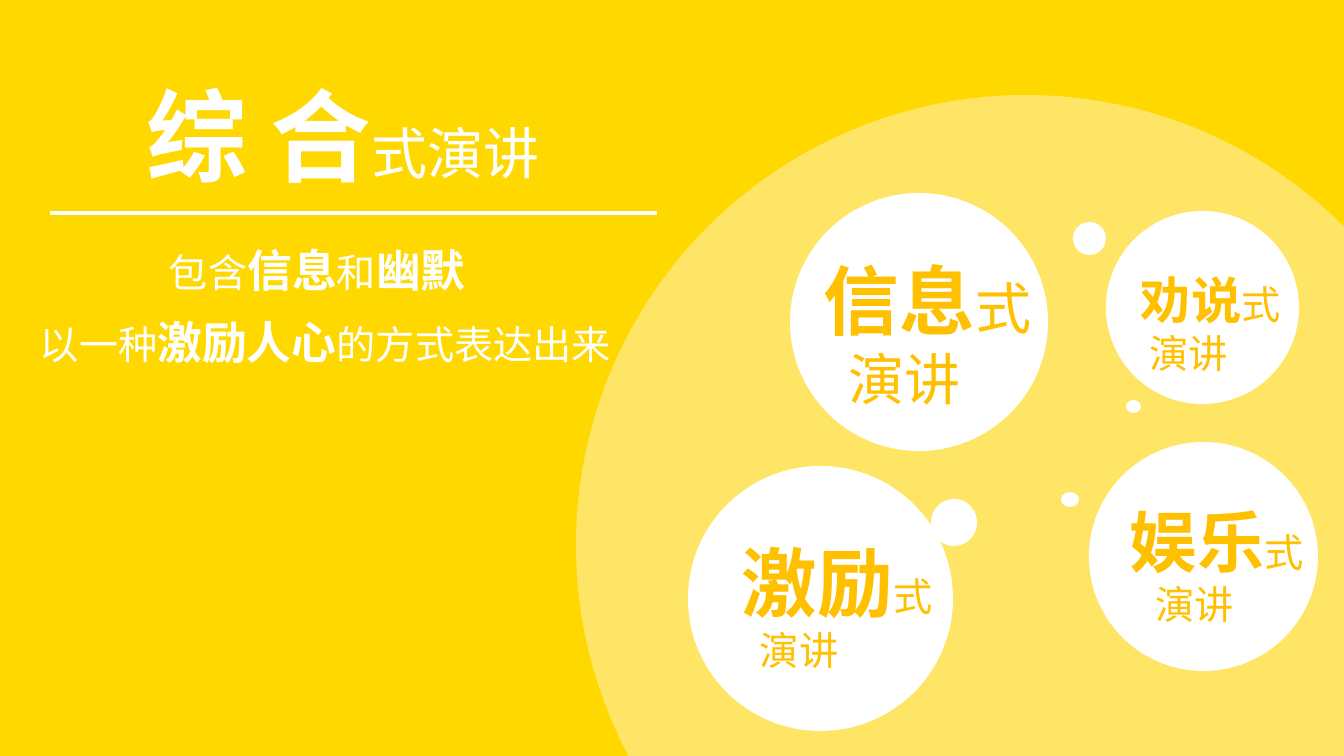
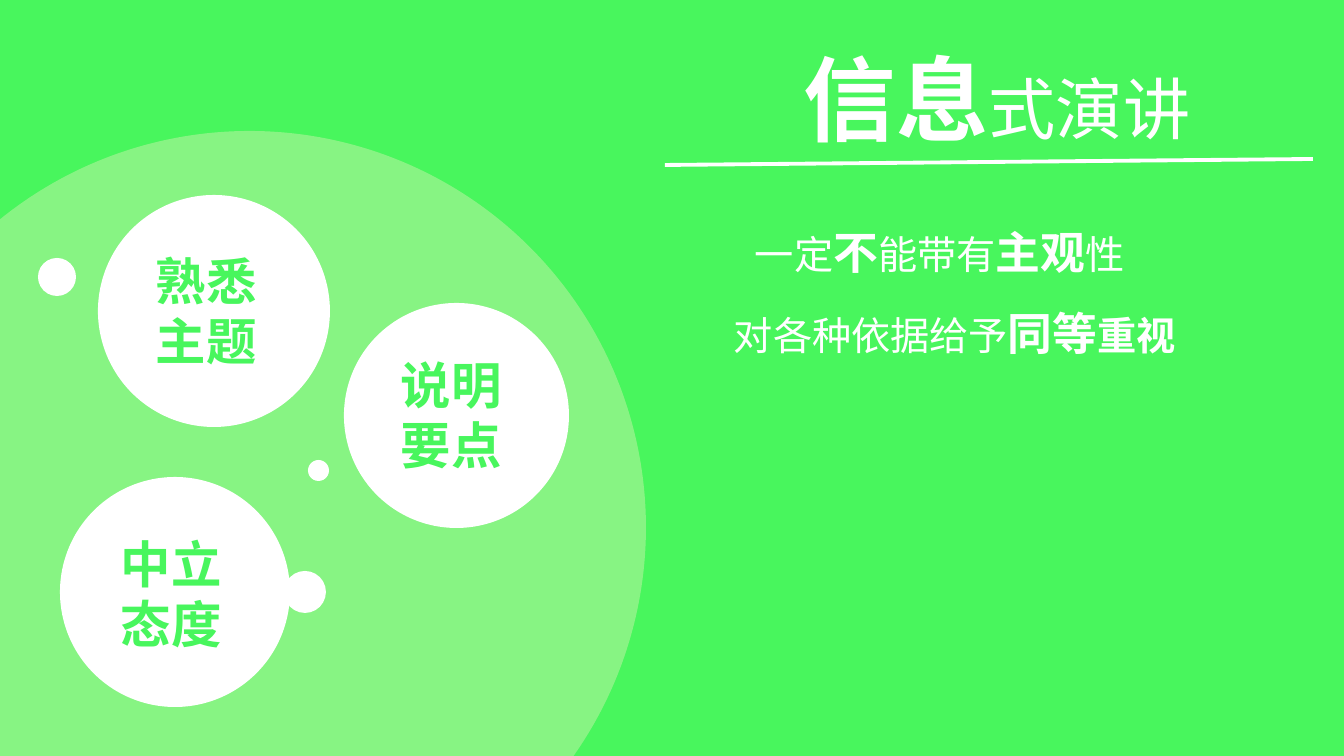
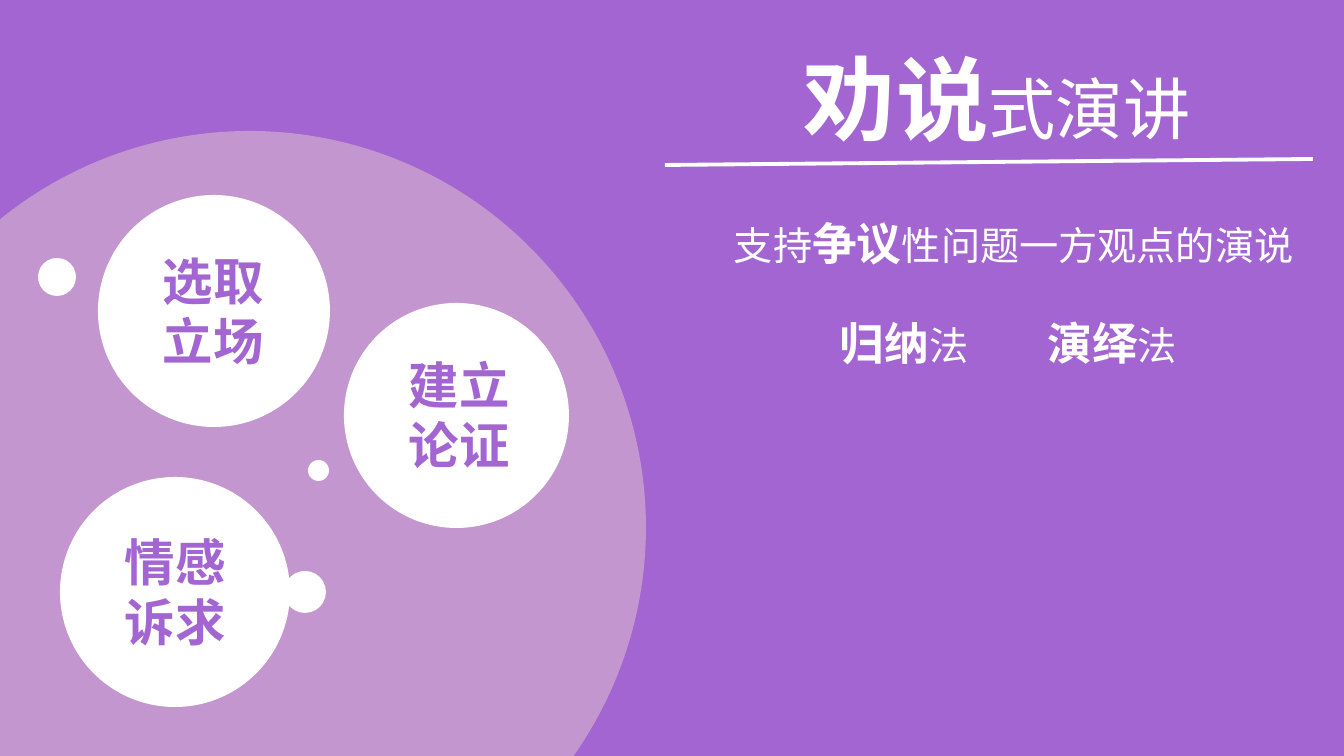
import lxml.etree
import pptx
import pptx.dml.color
import pptx.enum.shapes
import pptx.enum.text
import pptx.oxml.ns
import pptx.util

PX = 914400 / 100.8
THEME = {
    "font": "Noto Sans CJK SC",
    "white": "FFFFFF",
    "halo": "FFF2CC",
    "yellow": "FFD800",
    "amber": "FFC000",
    "green": "48F65D",
    "purple": "A365D1",
    "rule": 2.75,
    "body": 28,
    "strong": 32,
    "label": 36,
}


def plain(text, size=THEME["body"]):
    return text, size, False


def bold(text, size=THEME["strong"]):
    return text, size, True


# Circles are (left, top, width, height).
# Texts are (left, top, width, height, paragraphs, second-line indent, tab stop).
OVERVIEW = {
    "background": THEME["yellow"],
    "label_color": THEME["amber"],
    "halo": (576, 95, 900, 900),
    "halo_opacity": 50,
    "rule": (50, 213, 657, 213),
    "circles": [
        (931, 499, 46, 47), (1061, 492, 18, 15), (1126, 400, 15, 13),
        (1073, 222, 33, 33), (790, 193, 258, 258), (688, 466, 265, 265),
        (1106, 211, 193, 193), (1089, 442, 229, 229),
    ],
    "texts": [
        (137, 69, 538, 132, [[bold("综 合", 72), plain("式演讲", 40)]]),
        (159, 238, 702, 65,
         [[plain("包含"), bold("信息"), plain("和"), bold("幽默")]]),
        (30, 310, 700, 65,
         [[plain("以一种"), bold("激励人心"), plain("的方式表达出来")]]),
    ],
    "labels": [
        (814, 249, 288, 160,
         [[bold("信息", 54), plain("式", 40)], [plain("演讲", 40)]], 25),
        (1131, 264, 205, 119,
         [[bold("劝说", 36), plain("式")], [plain("演讲")]], 9),
        (732, 531, 298, 149,
         [[bold("激励", 54), plain("式")], [plain("演讲")]], 18),
        (1120, 495, 220, 139,
         [[bold("娱乐", 48), plain("式")], [plain("演讲")]], 26),
    ],
}


def detail(color, topic, texts, labels):
    """Content of a slide on one kind of speech; labels are (left, top, words)."""
    return {
        "background": color,
        "label_color": color,
        "halo": (-147, 131, 793, 793),
        "halo_opacity": 35,
        "rule": (665, 165, 1313, 159),
        "circles": [
            (x, y, d, d) for x, y, d in [
                (98, 195, 232), (344, 303, 225), (60, 477, 230),
                (284, 571, 42), (308, 460, 21), (38, 258, 38),
            ]
        ],
        "texts": [(794, 37, 457, 122, [[bold(topic, 66), plain("式演讲", 48)]])] + texts,
        "labels": [
            (x, y, 136, 132, [[bold(words, THEME["label"])]])
            for x, y, words in labels
        ],
    }


SLIDES = [
    OVERVIEW,
    detail(
        THEME["green"], "信息",
        [
            (745, 220, 399, 65,
             [[plain("一定"), bold("不"), plain("能带有"), bold("主观"), plain("性")]]),
            (724, 301, 479, 65,
             [[plain("对各种依据给予"), bold("同等"), bold("重视", THEME["body"])]]),
        ],
        [(146, 245, "熟悉主题"), (391, 349, "说明要点"), (111, 528, "中立态度")],
    ),
    detail(
        THEME["purple"], "劝说",
        [
            (724, 211, 586, 65,
             [[plain("支持"), bold("争议"), plain("性问题一方观点的演说")]]),
            (830, 311, 385, 65,
             [[bold("归纳"), plain("法\t"), bold("演绎"), plain("法")]], 0, 208),
        ],
        [(153, 245, "选取立场"), (399, 349, "建立论证"), (115, 526, "情感诉求")],
    ),
]


def emu(*lengths):
    return [round(length * PX) for length in lengths]


def rgb(color):
    return pptx.dml.color.RGBColor.from_string(color)


def add_child(parent, tag, **attributes):
    return lxml.etree.SubElement(parent, pptx.oxml.ns.qn(tag), attributes)


def add_circle(s, box, color, opacity=100):
    circle = s.shapes.add_shape(pptx.enum.shapes.MSO_SHAPE.OVAL, *emu(*box))
    circle.shadow.inherit = False
    circle.line.fill.background()
    circle.fill.solid()
    circle.fill.fore_color.rgb = rgb(color)
    if opacity < 100:
        srgb = circle.fill._xPr.find(".//" + pptx.oxml.ns.qn("a:srgbClr"))
        add_child(srgb, "a:alpha", val=str(opacity * 1000))


def add_rule(s, ends):
    rule = s.shapes.add_connector(
        pptx.enum.shapes.MSO_CONNECTOR.STRAIGHT, *emu(*ends))
    rule.line.color.rgb = rgb(THEME["white"])
    rule.line.width = pptx.util.Pt(THEME["rule"])
    add_child(rule._element.spPr, "a:effectLst")


def add_text(s, color, x, y, w, h, paragraphs, indent=0, tab=0):
    tf = s.shapes.add_textbox(*emu(x, y, w, h)).text_frame
    tf.word_wrap = True
    tf.auto_size = pptx.enum.text.MSO_AUTO_SIZE.SHAPE_TO_FIT_TEXT
    for i, runs in enumerate(paragraphs):
        p = tf.add_paragraph() if i else tf.paragraphs[0]
        if i and indent:
            p._p.get_or_add_pPr().set("marL", str(*emu(indent)))
        if tab:
            tabs = add_child(p._p.get_or_add_pPr(), "a:tabLst")
            add_child(tabs, "a:tab", pos=str(*emu(tab)), algn="l")
        for text, size, is_bold in runs:
            r = p.add_run()
            r.text = text
            r.font.size = pptx.util.Pt(size)
            r.font.bold = is_bold
            r.font.color.rgb = rgb(color)
            r.font.name = THEME["font"]
            add_child(r.font._element, "a:ea", typeface=THEME["font"])


def build_slide(prs, content):
    s = prs.slides.add_slide(prs.slide_layouts[6])
    s.background.fill.solid()
    s.background.fill.fore_color.rgb = rgb(content["background"])
    add_circle(s, content["halo"], THEME["halo"], content["halo_opacity"])
    add_rule(s, content["rule"])
    for box in content["circles"]:
        add_circle(s, box, THEME["white"])
    for text in content["texts"]:
        add_text(s, THEME["white"], *text)
    for label in content["labels"]:
        add_text(s, content["label_color"], *label)


def main():
    prs = pptx.Presentation()
    prs.slide_width, prs.slide_height = emu(1344, 756)
    for content in SLIDES:
        build_slide(prs, content)
    prs.save("out.pptx")


if __name__ == "__main__":
    main()
